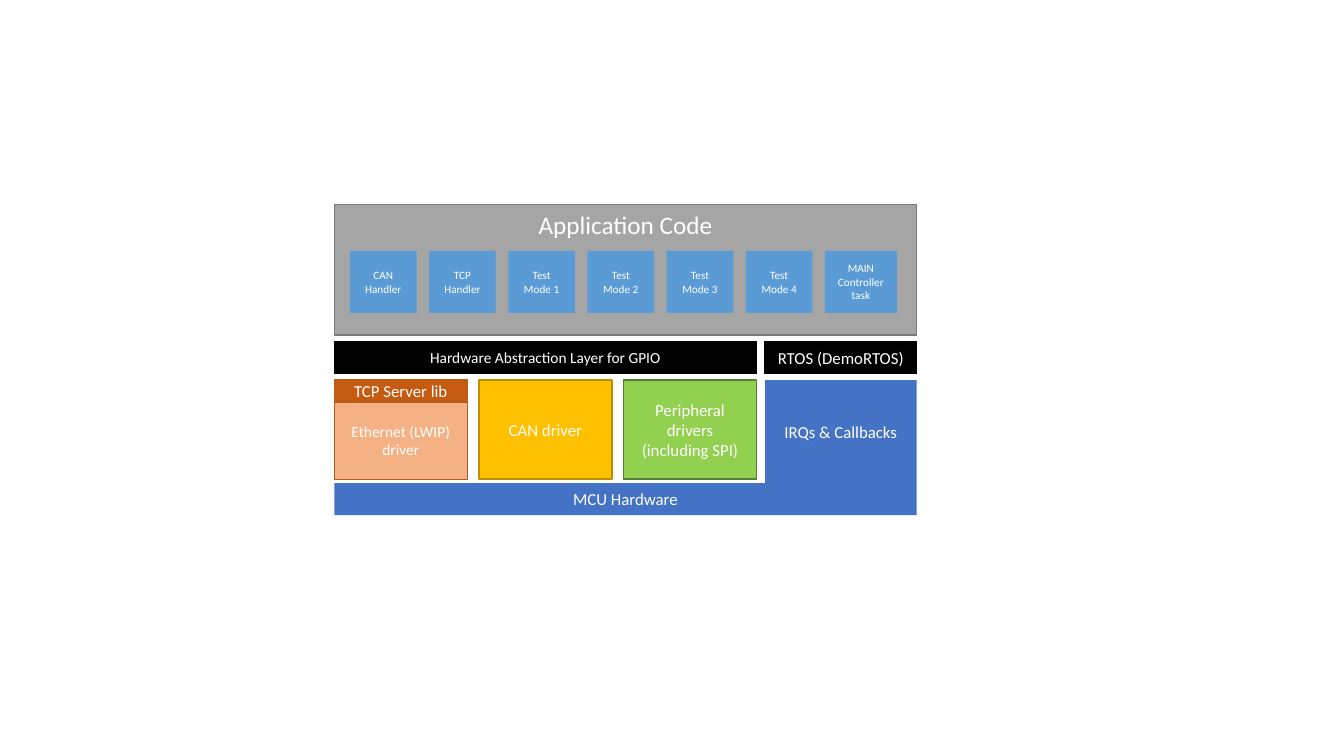
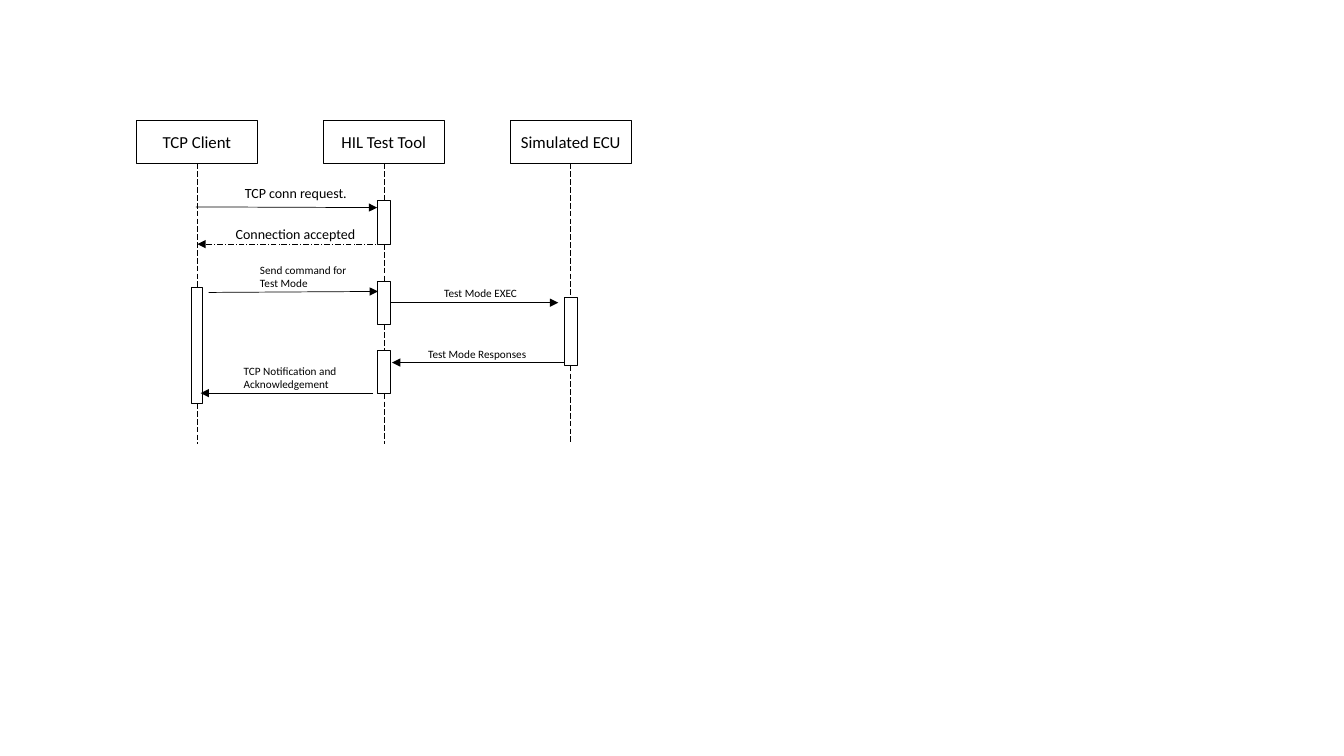
from lxml import etree
from pptx import Presentation
from pptx.dml.color import RGBColor
from pptx.enum.dml import MSO_LINE
from pptx.enum.shapes import MSO_CONNECTOR, MSO_SHAPE
from pptx.enum.text import MSO_ANCHOR, MSO_AUTO_SIZE, PP_ALIGN
from pptx.oxml.ns import qn
from pptx.util import Pt

RECTANGLE = MSO_SHAPE.RECTANGLE
STRAIGHT = MSO_CONNECTOR.STRAIGHT
TOP, MIDDLE = MSO_ANCHOR.TOP, MSO_ANCHOR.MIDDLE
CENTER = PP_ALIGN.CENTER
FIT_TEXT = MSO_AUTO_SIZE.SHAPE_TO_FIT_TEXT
SOLID, DASH, DASH_DOT = MSO_LINE.SOLID, MSO_LINE.LONG_DASH, MSO_LINE.LONG_DASH_DOT

FONT = "Calibri"
WHITE, BLACK, GRAY, GRAY_EDGE = "FFFFFF", "000000", "A5A5A5", "7A7A7A"
TASK_BLUE, HARDWARE_BLUE = "5B9BD5", "4472C4"
PEACH, PEACH_EDGE, RUST = "F4B183", "AF5C24", "C55A11"
YELLOW, YELLOW_EDGE = "FFC000", "BD8E00"
GREEN, GREEN_EDGE = "92D050", "538035"
color = RGBColor.from_string


def add_box(slide, left, top, width, height, text="", size=12, fill=None,
            edge=None, edge_width=1, ink=WHITE, anchor=MIDDLE, wrap=True):
    box = slide.shapes.add_shape(RECTANGLE, Pt(left), Pt(top), Pt(width), Pt(height))
    box.shadow.inherit = False
    if fill:
        box.fill.solid()
        box.fill.fore_color.rgb = color(fill)
    else:
        box.fill.background()
    if edge:
        box.line.color.rgb = color(edge)
        box.line.width = Pt(edge_width)
    else:
        box.line.fill.background()
    frame = box.text_frame
    frame.word_wrap = wrap
    frame.vertical_anchor = anchor
    frame.text = text
    for paragraph in frame.paragraphs:
        paragraph.alignment = CENTER
        paragraph.font.name = FONT
        paragraph.font.size = Pt(size)
        paragraph.font.color.rgb = color(ink)


def add_line(slide, x1, y1, x2, y2, dash=SOLID, arrow=False):
    line = slide.shapes.add_connector(STRAIGHT, Pt(x1), Pt(y1), Pt(x2), Pt(y2))
    line.line.color.rgb = color(BLACK)
    line.line.width = Pt(0.5)
    line.line.dash_style = dash
    properties = line._element.spPr
    if arrow:
        etree.SubElement(properties.find(qn("a:ln")), qn("a:tailEnd"), type="triangle")
    etree.SubElement(properties, qn("a:effectLst"))


prs = Presentation()
prs.slide_width, prs.slide_height = Pt(960), Pt(540)
blank = prs.slide_layouts[6]

# Slide 1: software layers
layers = prs.slides.add_slide(blank)
LEFT, FULL_WIDTH = 238.8, 416
RIGHT_LEFT, RIGHT_WIDTH = 546.5, 108.2
HAL_WIDTH, BAR_HEIGHT = 301.6, 23
DRIVER_TOP, DRIVER_WIDTH, DRIVER_HEIGHT = 271.5, 95, 70.8
driver_step = (HAL_WIDTH - DRIVER_WIDTH) / 2
LIB_HEIGHT = 15.5
HARDWARE_TOP = 345

# Application code and its tasks
add_box(layers, LEFT, 146.2, FULL_WIDTH, 93, "Application Code", 18,
        GRAY, GRAY_EDGE, anchor=TOP)
tasks = ["CAN Handler", "TCP Handler", "Test Mode 1", "Test Mode 2",
         "Test Mode 3", "Test Mode 4", "MAIN Controller task"]
for i, task in enumerate(tasks):
    task_width = 51.3 if task == tasks[-1] else 47.6
    add_box(layers, 250 + i * 56.55, 179.2, task_width, 44.4, task, 8, TASK_BLUE)

# Abstraction layer and operating system
add_box(layers, LEFT, 244, HAL_WIDTH, BAR_HEIGHT,
        "Hardware Abstraction Layer for GPIO", 11, BLACK, BLACK)
add_box(layers, RIGHT_LEFT, 244, RIGHT_WIDTH, BAR_HEIGHT,
        "RTOS (DemoRTOS)", 12, BLACK, BLACK, wrap=False)

# Drivers
add_box(layers, LEFT, DRIVER_TOP + LIB_HEIGHT, DRIVER_WIDTH, DRIVER_HEIGHT - LIB_HEIGHT,
        "Ethernet (LWIP) driver", 11, PEACH, PEACH_EDGE)
add_box(layers, LEFT, DRIVER_TOP, DRIVER_WIDTH, LIB_HEIGHT,
        "TCP Server lib", 12, RUST, RUST)
drivers = [("CAN driver", YELLOW, YELLOW_EDGE),
           ("Peripheral drivers\n(including SPI)", GREEN, GREEN_EDGE)]
for i, (driver, fill, edge) in enumerate(drivers, start=1):
    add_box(layers, LEFT + i * driver_step, DRIVER_TOP, DRIVER_WIDTH, DRIVER_HEIGHT,
            driver, 12, fill, edge)

# Hardware
add_box(layers, RIGHT_LEFT, DRIVER_TOP, RIGHT_WIDTH, HARDWARE_TOP - DRIVER_TOP,
        "IRQs & Callbacks", 12, HARDWARE_BLUE)
add_box(layers, LEFT, HARDWARE_TOP, FULL_WIDTH, BAR_HEIGHT,
        "MCU Hardware", 12, HARDWARE_BLUE)

# Slide 2: message sequence
sequence = prs.slides.add_slide(blank)
HEAD_TOP, HEAD_WIDTH, HEAD_HEIGHT = 85.8, 86, 31
LIFELINE_END = 317

# Participants: name, width of activity bars, (top, bottom) of each bar
participants = [
    ("TCP Client", 8, [(205, 288)]),
    ("HIL Test Tool", 9.4, [(143.2, 174.4), (200.8, 231.8), (250, 281.2)]),
    ("Simulated ECU", 9.4, [(212.2, 261.2)]),
]
for i, (participant, bar_width, bars) in enumerate(participants):
    center = 140.7 + i * 133.5
    add_box(sequence, center - HEAD_WIDTH / 2, HEAD_TOP, HEAD_WIDTH, HEAD_HEIGHT,
            participant, 12, edge=BLACK, edge_width=0.5, ink=BLACK, wrap=False)
    dash_start = HEAD_TOP + HEAD_HEIGHT
    for bar_top, bar_bottom in bars:
        add_line(sequence, center, dash_start, center, bar_top, DASH)
        add_box(sequence, center - bar_width / 2, bar_top, bar_width,
                bar_bottom - bar_top, edge=BLACK, edge_width=0.5)
        dash_start = bar_bottom
    add_line(sequence, center, dash_start, center, LIFELINE_END, DASH)

# Messages: arrow start and end, dash, label, its box and size
messages = [
    ((140, 147.8), (269.4, 148.3), SOLID,
     "TCP conn request.", (167.8, 128.6, 88.6, 19.4), 10),
    ((274, 174.4), (141, 174.4), DASH_DOT,
     "Connection accepted", (161.3, 157.7, 101.5, 19.4), 10),
    ((149, 208.9), (270, 208.2), SOLID,
     "Send command for\nTest Mode", (178.6, 184.5, 78.5, 26.6), 8),
    ((278.8, 216.2), (398.8, 216.2), SOLID,
     "Test Mode EXEC", (310.2, 200.9, 67.7, 17.3), 8),
    ((403, 259), (280, 259), SOLID,
     "Test Mode Responses", (298.7, 244.4, 86.4, 17.3), 8),
    ((266.5, 280.8), (143.3, 280.8), SOLID,
     "TCP Notification and\nAcknowledgement", (167, 256.5, 83.5, 26.6), 8),
]
for start, end, dash, message, place, size in messages:
    add_line(sequence, *start, *end, dash, arrow=True)
    label = sequence.shapes.add_textbox(*map(Pt, place)).text_frame
    label.word_wrap = False
    label.auto_size = FIT_TEXT
    label.text = message
    for paragraph in label.paragraphs:
        paragraph.font.name = FONT
        paragraph.font.size = Pt(size)
        paragraph.font.color.rgb = color(BLACK)

prs.save("out.pptx")
